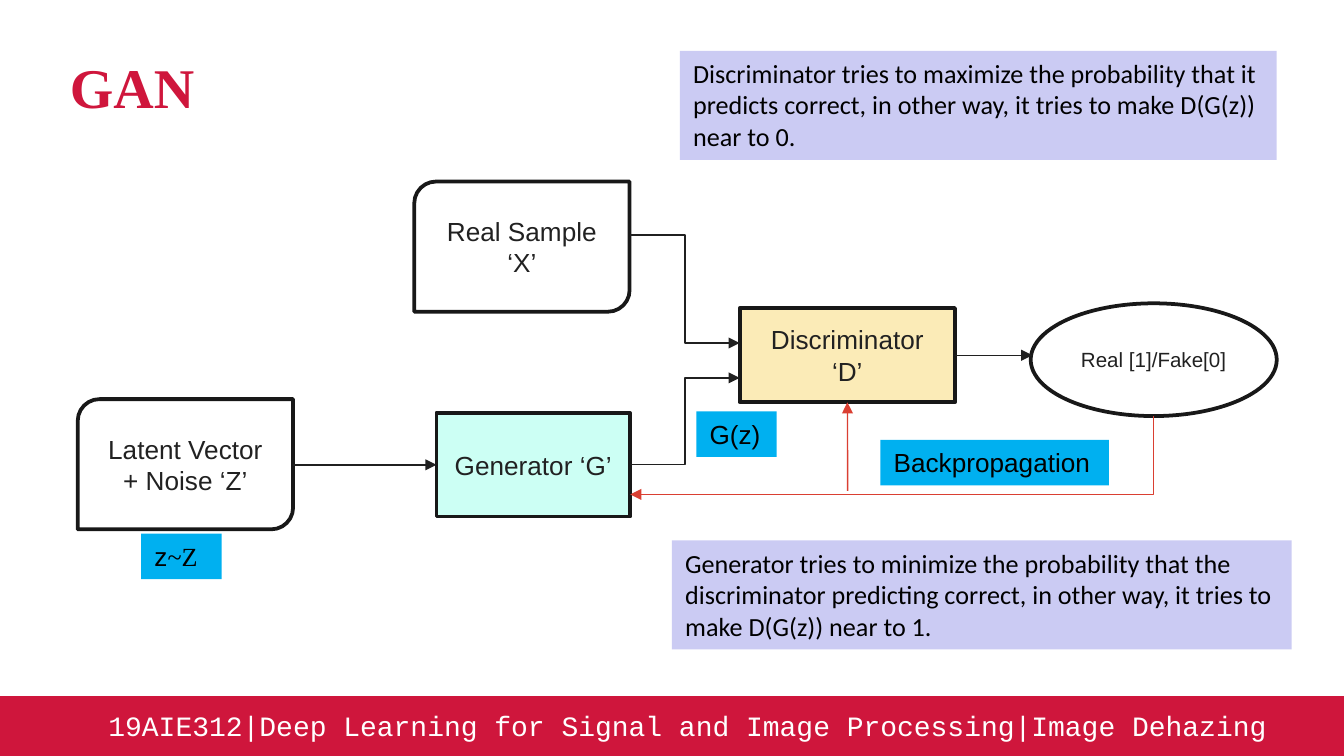
import pptx
import pptx.dml.color
import pptx.enum.shapes
import pptx.enum.text
import pptx.oxml.ns
import pptx.util
from lxml import etree
from pptx.util import Cm, Pt

SHAPE = pptx.enum.shapes.MSO_SHAPE
CONNECTOR = pptx.enum.shapes.MSO_CONNECTOR
ALIGN = pptx.enum.text.PP_ALIGN
ANCHOR = pptx.enum.text.MSO_ANCHOR
TOP, LEFT, BOTTOM, RIGHT = range(4)

CRIMSON, DARK, INK, RED = "CF163C", "181818", "202020", "DA3F32"
CYAN, LILAC = "00B0F0", "CBCBF3"

# Positions are (left, top, width, height) in cm.
TITLE = ("GAN", (1.07, 0.64, 10.21, 1.96))
FOOTER = "19AIE312|Deep Learning for Signal and Image Processing|Image Dehazing"
NODES = {
    "real": ("Real Sample ‘X’", SHAPE.ROUND_2_DIAG_RECTANGLE, (7.83, 3.43, 4.07, 2.46), None, 14),
    "latent": ("Latent Vector + Noise ‘Z’", SHAPE.ROUND_2_DIAG_RECTANGLE, (1.47, 7.54, 4.07, 2.46), None, 14),
    "generator": ("Generator ‘G’", SHAPE.RECTANGLE, (8.25, 7.8, 3.66, 1.96), "CCFFF4", 14),
    "discriminator": ("Discriminator ‘D’", SHAPE.RECTANGLE, (13.98, 5.82, 4.07, 1.78), "FBEBB7", 14),
    "output": ("Real [1]/Fake[0]", SHAPE.OVAL, (19.48, 5.73, 4.65, 2.13), "FFFFFF", 11),
}
LABELS = [
    ([("Backpropagation", "Arial")], (16.64, 8.31, 4.32, 0.86), CYAN),
    ([("z", "Arial"), ("~Z", "Times New Roman")], (2.67, 10.08, 1.52, 0.86), CYAN),
    ([("G(z)", "Arial")], (13.16, 7.77, 1.52, 0.86), CYAN),
    ([("Discriminator tries to maximize the probability that it predicts correct, "
       "in other way, it tries to make D(G(z)) near to 0.", "Calibri")],
     (12.85, 0.96, 11.28, 2.06), LILAC),
    ([("Generator tries to minimize the probability that the discriminator predicting "
       "correct, in other way, it tries to make D(G(z)) near to 1.", "Calibri")],
     (12.7, 10.21, 11.71, 2.06), LILAC),
]
# Kind, start, end, colour, joined start, joined end
ARROWS = [
    (CONNECTOR.STRAIGHT, (5.54, 8.78), (8.25, 8.78), INK, None, ("generator", LEFT)),
    (CONNECTOR.STRAIGHT, (18.05, 6.71), (19.51, 6.71), INK, ("discriminator", RIGHT), None),
    (CONNECTOR.STRAIGHT, (16.02, 9.27), (16.02, 7.6), RED, None, ("discriminator", BOTTOM)),
    (CONNECTOR.ELBOW, (11.91, 4.44), (13.98, 6.48), INK, None, None),
    (CONNECTOR.ELBOW, (11.91, 8.78), (13.98, 7.14), INK, None, None),
]
FEEDBACK_START, FEEDBACK_END = (21.8, 7.86), (11.91, 9.34)


def color(hex_code):
    return pptx.dml.color.RGBColor.from_string(hex_code)


def add_run(paragraph, text, font, size, hex_code, bold=False):
    run = paragraph.add_run()
    run.text = text
    run.font.name, run.font.size, run.font.bold = font, Pt(size), bold
    run.font.color.rgb = color(hex_code)


def add_box(slide, kind, box, fill=None, line=None, width=2.0):
    shape = slide.shapes.add_shape(kind, *map(Cm, box))
    shape.shadow.inherit = False
    if fill:
        shape.fill.solid()
        shape.fill.fore_color.rgb = color(fill)
    else:
        shape.fill.background()
    if line:
        shape.line.color.rgb = color(line)
        shape.line.width = Pt(width)
    else:
        shape.line.fill.background()
    shape.text_frame.word_wrap = True
    return shape


def add_arrow(slide, kind, start, end, hex_code):
    arrow = slide.shapes.add_connector(kind, *map(Cm, (*start, *end)))
    arrow.line.color.rgb = color(hex_code)
    arrow.line.width = Pt(0.75)
    qn = pptx.oxml.ns.qn
    etree.SubElement(arrow.line._get_or_add_ln(), qn("a:tailEnd"), type="triangle")
    etree.SubElement(arrow._element.spPr, qn("a:effectLst"))
    return arrow


def add_feedback(slide):
    """Draw the arrow that drops from the output and turns left to the generator."""
    (right, top), (left, bottom) = FEEDBACK_START, FEEDBACK_END
    center_x, center_y = (left + right) / 2, (top + bottom) / 2
    half_width, half_height = (bottom - top) / 2, (right - left) / 2
    arrow = add_arrow(slide, CONNECTOR.ELBOW,
                      (center_x - half_width, center_y - half_height),
                      (center_x + half_width, center_y + half_height), RED)
    properties = arrow._element.spPr
    properties.find(pptx.oxml.ns.qn("a:xfrm")).set("rot", str(90 * 60000))
    properties.find(pptx.oxml.ns.qn("a:prstGeom")).set("prst", "bentConnector2")


def set_insets(frame):
    frame.margin_left = frame.margin_right = Cm(0.25)
    frame.margin_top = frame.margin_bottom = Cm(0.25)


def add_title(slide):
    text, box = TITLE
    title = slide.shapes.title
    title.left, title.top, title.width, title.height = map(Cm, box)
    frame = title.text_frame
    set_insets(frame)
    frame.vertical_anchor = ANCHOR.MIDDLE
    frame.paragraphs[0].alignment = ALIGN.LEFT
    add_run(frame.paragraphs[0], text, "Times New Roman", 30, CRIMSON, bold=True)


def add_footer(slide):
    add_box(slide, SHAPE.RECTANGLE, (0, 13.16, 25.4, 1.12), CRIMSON, CRIMSON, 0.75)
    frame = slide.shapes.add_textbox(*map(Cm, (1.8, 13.13, 22.61, 1.14))).text_frame
    frame.word_wrap = True
    set_insets(frame)
    add_run(frame.paragraphs[0], FOOTER, "Courier New", 15, "FFFFFF")


def add_diagram(slide):
    nodes = {}
    for name, (text, kind, box, fill, size) in NODES.items():
        nodes[name] = add_box(slide, kind, box, fill, DARK)
        frame = nodes[name].text_frame
        frame.vertical_anchor = ANCHOR.MIDDLE
        frame.paragraphs[0].alignment = ALIGN.CENTER
        add_run(frame.paragraphs[0], text, "Arial", size, "212121")
    for kind, start, end, hex_code, source, target in ARROWS:
        arrow = add_arrow(slide, kind, start, end, hex_code)
        if source:
            arrow.begin_connect(nodes[source[0]], source[1])
        if target:
            arrow.end_connect(nodes[target[0]], target[1])
    add_feedback(slide)
    for runs, box, fill in LABELS:
        frame = add_box(slide, SHAPE.RECTANGLE, box, fill).text_frame
        frame.vertical_anchor = ANCHOR.TOP
        frame.paragraphs[0].alignment = ALIGN.LEFT
        for text, font in runs:
            add_run(frame.paragraphs[0], text, font, 14, "000000")


def main():
    presentation = pptx.Presentation()
    presentation.slide_width, presentation.slide_height = Cm(25.4), Cm(14.28)
    slide = presentation.slides.add_slide(presentation.slide_layouts[5])
    add_title(slide)
    add_footer(slide)
    add_diagram(slide)
    presentation.save("out.pptx")


if __name__ == "__main__":
    main()
